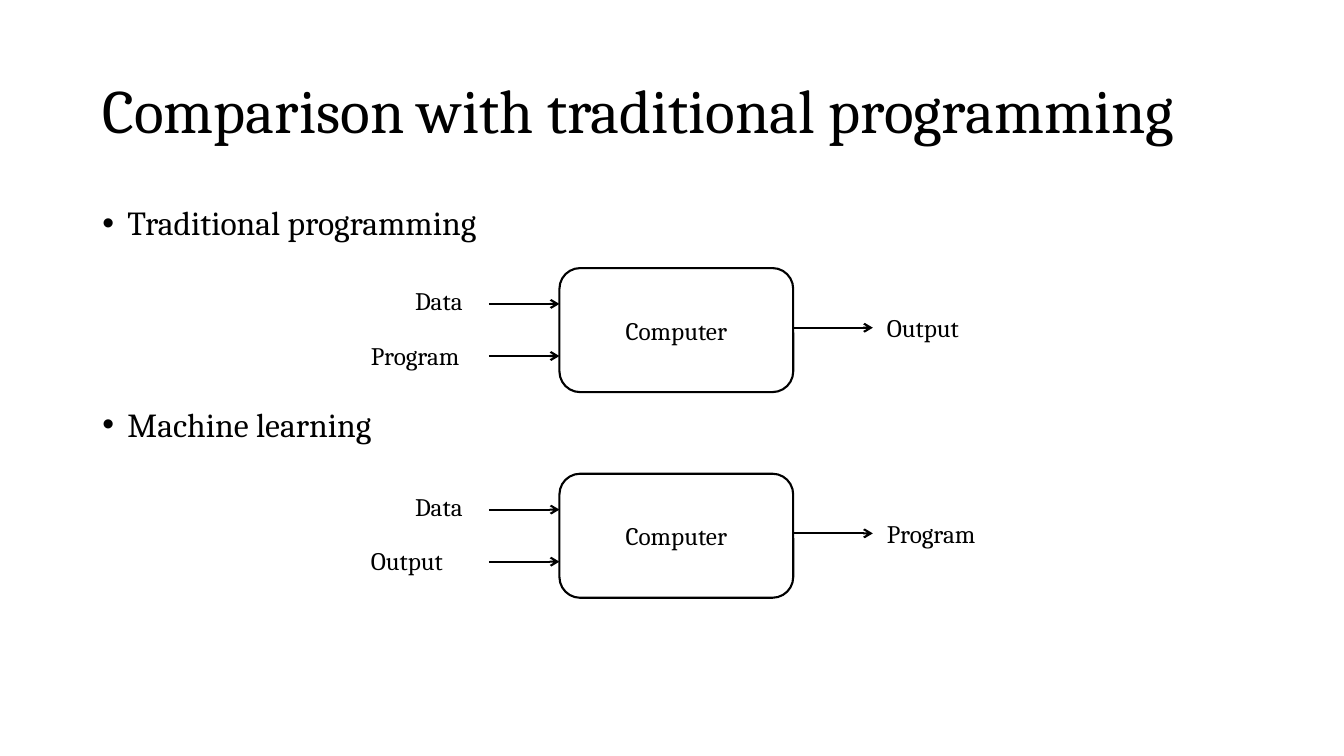
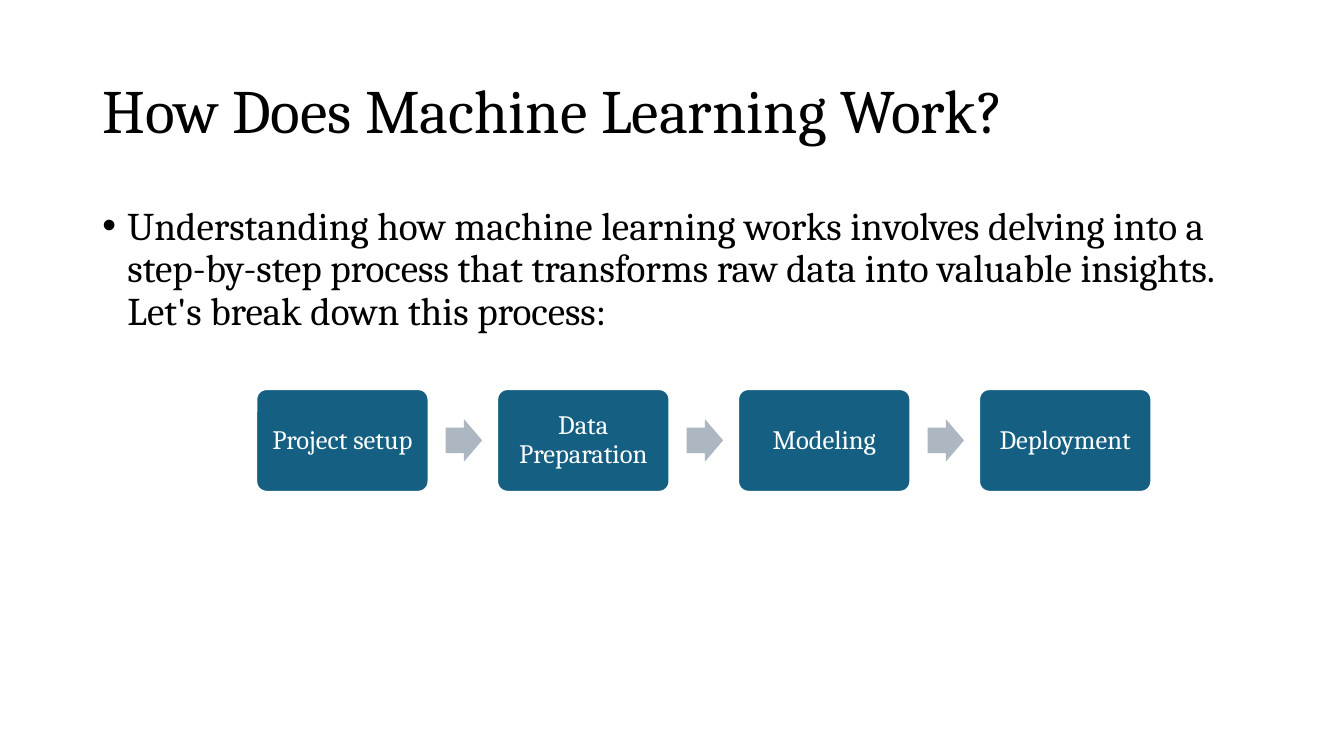
"""Builds two slides that introduce machine learning and its workflow."""
import lxml.etree
import pptx
import pptx.dml.color
import pptx.enum.shapes
import pptx.enum.text
import pptx.oxml.ns
import pptx.util

Pt = pptx.util.Pt
qn = pptx.oxml.ns.qn
SHAPES = pptx.enum.shapes.MSO_SHAPE
ANCHOR = pptx.enum.text.MSO_ANCHOR
CENTER = pptx.enum.text.PP_ALIGN.CENTER

FONT = "Cambria"
BLACK, WHITE, TEAL, GREY = "000000", "FFFFFF", "156082", "ACB7C1"
MARGIN, CONTENT_WIDTH = 66, 828
LINE_WIDTH = 1.5
MIDDLE = {"word_wrap": True, "vertical_anchor": ANCHOR.MIDDLE}
TOP = {"word_wrap": True, "vertical_anchor": ANCHOR.TOP}
TIGHT = {"line_spacing": 0.9}


def rgb(hex_value):
    """Return the colour for a hex string."""
    return pptx.dml.color.RGBColor.from_string(hex_value)


def apply(target, formats):
    """Set every attribute named in formats on target."""
    for name, value in formats.items():
        setattr(target, name, value)


def write(paragraph, text, size, color=BLACK, formats=None):
    """Put one formatted run into a paragraph."""
    apply(paragraph, formats or {})
    run = paragraph.add_run()
    run.text = text
    apply(run.font, {"name": FONT, "size": Pt(size)})
    run.font.color.rgb = rgb(color)


def add_frame(shapes, left, top, width, height, formats):
    """Add a text box and return its text frame."""
    frame = shapes.add_textbox(Pt(left), Pt(top), Pt(width), Pt(height)).text_frame
    apply(frame, formats)
    return frame


def add_title(slide, text):
    """Add the slide title."""
    frame = add_frame(slide.shapes, MARGIN, 28.8, CONTENT_WIDTH, 104.4, MIDDLE)
    write(frame.paragraphs[0], text, 44, formats=TIGHT)


def add_bullets(slide, points, size, gap=0):
    """Add bulleted points with a gap between them."""
    frame = add_frame(slide.shapes, MARGIN, 144, CONTENT_WIDTH, 342.7, TOP)
    for index, point in enumerate(points):
        paragraph = frame.add_paragraph() if index else frame.paragraphs[0]
        properties = paragraph._p.get_or_add_pPr()
        properties.set("marL", str(Pt(18)))
        properties.set("indent", str(-Pt(18)))
        lxml.etree.SubElement(properties, qn("a:buFont")).set("typeface", "Arial")
        lxml.etree.SubElement(properties, qn("a:buChar")).set("char", "•")
        spacing = {"space_before": Pt(gap if index else 0)}
        write(paragraph, point, size, formats=TIGHT | spacing)


def add_block(shapes, kind, left, top, width, height, fill, outline=None, adjustments=()):
    """Add a filled preset shape."""
    block = shapes.add_shape(kind, Pt(left), Pt(top), Pt(width), Pt(height))
    block.shadow.inherit = False
    block.fill.solid()
    block.fill.fore_color.rgb = rgb(fill)
    if outline:
        block.line.color.rgb = rgb(outline)
        block.line.width = Pt(LINE_WIDTH)
    else:
        block.line.fill.background()
    for index, value in enumerate(adjustments):
        block.adjustments[index] = value
    return block


def add_arrow(shapes, start, end, y):
    """Add a horizontal line with an open arrowhead at its end."""
    arrow = shapes.add_connector(
        pptx.enum.shapes.MSO_CONNECTOR.STRAIGHT, Pt(start), Pt(y), Pt(end), Pt(y))
    arrow.line.color.rgb = rgb(BLACK)
    arrow.line.width = Pt(LINE_WIDTH)
    lxml.etree.SubElement(arrow.line._get_or_add_ln(), qn("a:tailEnd")).set("type", "arrow")
    lxml.etree.SubElement(arrow._element.spPr, qn("a:effectLst"))


def add_label(shapes, text, left, top):
    """Add a short label beside an arrow."""
    frame = add_frame(shapes, left, top, 88, 29, TOP)
    write(frame.paragraphs[0], text, 18)


def add_computer_flow(slide, top, first_input, second_input, result):
    """Draw two inputs entering a computer and the result leaving it."""
    shapes = slide.shapes.add_group_shape().shapes
    left, width, height = 399.6, 167, 88.6
    right = left + width
    computer = add_block(shapes, SHAPES.ROUNDED_RECTANGLE, left, top, width, height, WHITE, BLACK)
    apply(computer.text_frame, MIDDLE)
    write(computer.text_frame.paragraphs[0], "Computer", 18, formats={"alignment": CENTER})
    for offset in (25.6, 62.8):
        add_arrow(shapes, left - 50.4, left, top + offset)
    add_arrow(shapes, right, right + 56.9, top + 42.6)
    add_label(shapes, first_input, 289.4, top + 8.8)
    add_label(shapes, second_input, 257.8, top + 47.8)
    add_label(shapes, result, 626.4, top + 28.2)


def add_process(slide, steps):
    """Draw the steps in a row with an arrow between neighbours."""
    shapes = slide.shapes.add_group_shape().shapes
    left, top, width, height, pitch = 183, 277.9, 123.1, 73.4, 172.1
    arrow_width, arrow_height = 26, 30.4
    insets = {f"margin_{side}": Pt(5.8) for side in ("left", "top", "right", "bottom")}
    for index, step in enumerate(steps):
        step_left = left + index * pitch
        if index:
            add_block(shapes, SHAPES.RIGHT_ARROW, step_left - 36.7,
                      top + (height - arrow_height) / 2, arrow_width, arrow_height,
                      GREY, adjustments=(0.6, 0.5))
        card = add_block(shapes, SHAPES.ROUNDED_RECTANGLE, step_left, top, width, height,
                         TEAL, WHITE, (0.1,))
        apply(card.text_frame, MIDDLE | insets)
        write(card.text_frame.paragraphs[0], step, 19, WHITE, TIGHT | {"alignment": CENTER})


def main():
    """Build and save the presentation."""
    deck = pptx.Presentation()
    apply(deck, {"slide_width": Pt(960), "slide_height": Pt(540)})
    blank = deck.slide_layouts[6]

    comparison = deck.slides.add_slide(blank)
    add_title(comparison, "Comparison with traditional programming")
    add_bullets(comparison, ["Traditional programming", "Machine learning"], 24, 118)
    add_computer_flow(comparison, 191.5, "Data", "Program", "Output")
    add_computer_flow(comparison, 338.4, "Data", "Output", "Program")

    workflow = deck.slides.add_slide(blank)
    add_title(workflow, "How Does Machine Learning Work?")
    add_bullets(workflow, [
        "Understanding how machine learning works involves delving into a step-by-step "
        "process that transforms raw data into valuable insights. "
        "Let's break down this process:"], 28)
    add_process(workflow, ["Project setup", "Data Preparation", "Modeling", "Deployment"])

    deck.save("out.pptx")


if __name__ == "__main__":
    main()
